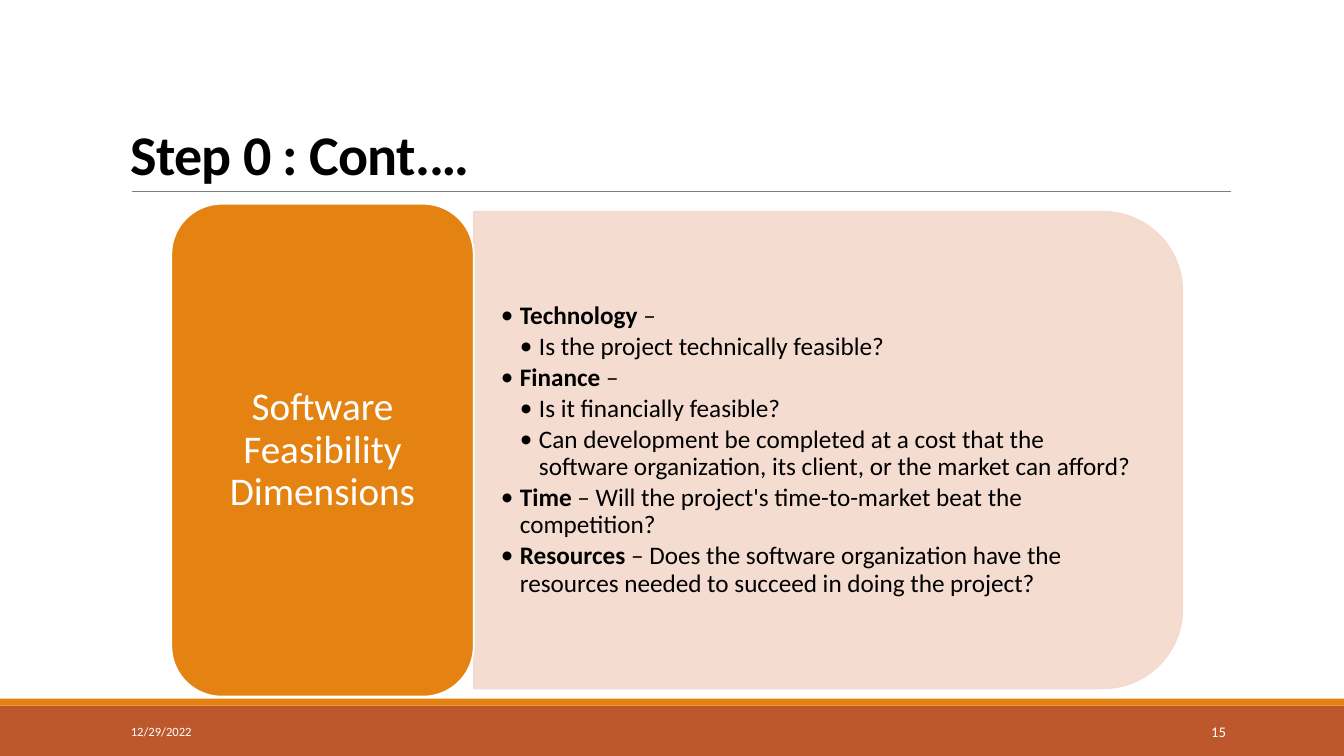
from lxml import etree
from pptx import Presentation
from pptx.dml.color import RGBColor
from pptx.enum.shapes import MSO_CONNECTOR, MSO_SHAPE
from pptx.enum.text import MSO_ANCHOR, PP_ALIGN
from pptx.oxml.ns import qn
from pptx.util import Pt

RECT = MSO_SHAPE.RECTANGLE
ROUND = MSO_SHAPE.ROUNDED_RECTANGLE
TAB = MSO_SHAPE.ROUND_2_SAME_RECTANGLE
LEFT, MID, RIGHT = PP_ALIGN.LEFT, PP_ALIGN.CENTER, PP_ALIGN.RIGHT
BOTTOM, CENTER = MSO_ANCHOR.BOTTOM, MSO_ANCHOR.MIDDLE

FONT = "Calibri"
BLACK, WHITE, GREY = "000000", "FFFFFF", "808080"
ORANGE, RUST, PINK = "E48312", "BD582C", "F5D9CC"

TITLE = "Step 0 : Cont.…"
DATE, PAGE = "12/29/2022", "15"
TOPIC = "Software Feasibility Dimensions"
# level, bold lead, rest
POINTS = [
    (1, "Technology", " –"),
    (2, "", "Is the project technically feasible?"),
    (1, "Finance", " –"),
    (2, "", "Is it financially feasible?"),
    (2, "", "Can development be completed at a cost that the software "
            "organization, its client, or the market can afford?"),
    (1, "Time", " – Will the project's time-to-market beat the competition?"),
    (1, "Resources", " – Does the software organization have the resources "
                     "needed to succeed in doing the project?"),
]

WIDE, HIGH = 960, 540
FOOT = 504          # top of the footer bar
STRIPE = 5
STEP = 13.6         # bullet indent per level

deck = Presentation()
deck.slide_width, deck.slide_height = Pt(WIDE), Pt(HIGH)
slide = deck.slides.add_slide(deck.slide_layouts[6])
shapes = slide.shapes


def color(code):
    return RGBColor.from_string(code)


def add_shape(kind, box, fill, edge=None):
    shape = shapes.add_shape(kind, *map(Pt, box))
    shape.shadow.inherit = False
    shape.fill.solid()
    shape.fill.fore_color.rgb = color(fill)
    if edge:
        shape.line.color.rgb = color(edge)
        shape.line.width = Pt(1.25)
    else:
        shape.line.fill.background()
    return shape


def fade(shape, percent):
    """Set the opacity of fill and line."""
    for tone in shape._element.spPr.iter(qn("a:srgbClr")):
        etree.SubElement(tone, qn("a:alpha")).set("val", str(percent * 1000))


def add_frame(box, anchor, inset=(7.2, 3.6)):
    frame = shapes.add_textbox(*map(Pt, box)).text_frame
    frame.word_wrap = True
    frame.vertical_anchor = anchor
    frame.margin_left = frame.margin_right = Pt(inset[0])
    frame.margin_top = frame.margin_bottom = Pt(inset[1])
    return frame


def add_run(para, text, size, tone, bold=False):
    run = para.add_run()
    run.text = text
    font = run.font
    font.name, font.size, font.bold = FONT, Pt(size), bold
    font.color.rgb = color(tone)
    return run


def add_line(frame, text, size, tone, align=LEFT, bold=False, space=1.0):
    para = frame.paragraphs[0]
    para.alignment, para.line_spacing = align, space
    return add_run(para, text, size, tone, bold)


def add_bullet(para, level):
    props = para._p.get_or_add_pPr()
    props.set("marL", str(Pt(STEP * level)))
    props.set("indent", str(-Pt(STEP)))
    etree.SubElement(props, qn("a:buFont")).set("typeface", FONT)
    etree.SubElement(props, qn("a:buChar")).set("char", "•")
    para.level = level
    para.line_spacing = 0.9
    para.space_after = Pt(2.7)


# Footer bar, stripe and title rule
add_shape(RECT, (0, FOOT, WIDE, HIGH - FOOT), RUST)
add_shape(RECT, (0, FOOT - STRIPE, WIDE, STRIPE), ORANGE)
rule = shapes.add_connector(
    MSO_CONNECTOR.STRAIGHT, Pt(94.3), Pt(136.8), Pt(879), Pt(136.8))
rule.line.color.rgb = color(GREY)
rule.line.width = Pt(0.5)
etree.SubElement(rule._element.spPr, qn("a:effectLst"))

# Title, date and page
head = add_line(add_frame((86.4, 22.3, 792, 114.5), BOTTOM),
                TITLE, 40, BLACK, bold=True, space=0.85)
head._r.get_or_add_rPr().set("spc", "-50")
add_line(add_frame((86.4, 508.3, 194.4, 28.8), CENTER), DATE, 9, WHITE)
add_line(add_frame((779.8, 508.3, 103, 28.8), CENTER), PAGE, 10.5, WHITE, RIGHT)

# Panel: a tall shape turned on its side
panel = add_shape(TAB, (421.2, 68.4, 340.5, 506.2), PINK, PINK)
panel.rotation = 90
fade(panel, 90)
body = add_frame((338.4, 167.8, 489.6, 307.4), CENTER, (19.4, 10))
for i, (level, lead, rest) in enumerate(POINTS):
    para = body.add_paragraph() if i else body.paragraphs[0]
    add_bullet(para, level)
    if lead:
        add_run(para, lead, 18, BLACK, True)
    add_run(para, rest, 18, BLACK)

# Topic block
add_shape(ROUND, (122.4, 145.6, 216, 352), ORANGE, WHITE)
add_line(add_frame((132.8, 156.2, 195.1, 331.2), CENTER, (8.6, 4.3)),
         TOPIC, 28, WHITE, MID, space=0.9)

deck.save("out.pptx")
